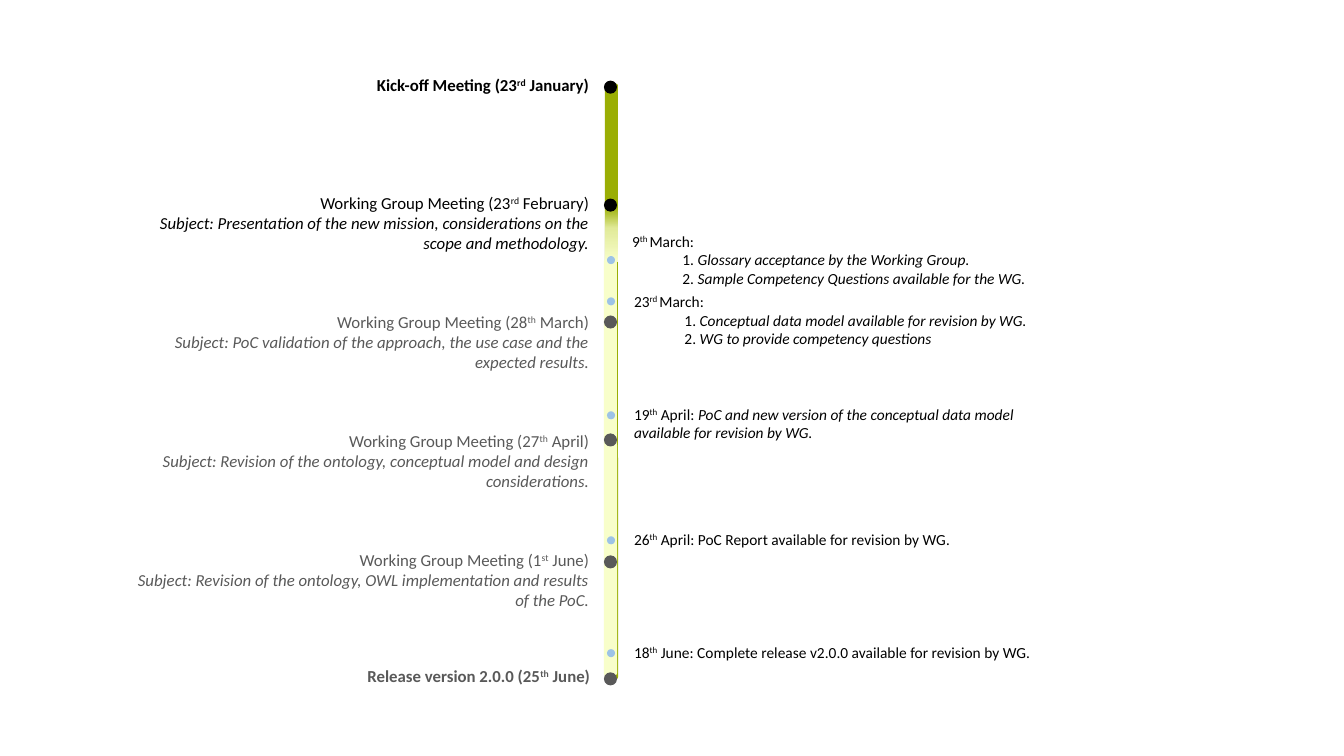
from pptx import Presentation
from pptx.dml.color import RGBColor
from pptx.enum.shapes import MSO_SHAPE as Shape
from pptx.enum.text import MSO_AUTO_SIZE as AutoSize, PP_ALIGN as Align
from pptx.oxml import parse_xml
from pptx.oxml.ns import nsdecls
from pptx.util import Pt

PX = 9144  # 100 px to the inch
FONT = "Calibri"
COLORS = {"done": "000000", "planned": "595959", "olive": "9AAE04",
          "mid": "E1EA99", "pale": "F8FECA", "task": "9DC3E6"}

# Milestones at both ends: left, top, width, state, label parts
ENDS = [
    (359, 69, 235, "done", ("Kick-off Meeting (23", "rd", " January)")),
    (350, 656, 245, "planned", ("Release version 2.0.0 (25", "th", " June)")),
]
# Meetings: state, day, ordinal, month, subject
MEETINGS = [
    ("done", "23", "rd", "February",
     "Presentation of the new mission, considerations on the scope and methodology."),
    ("planned", "28", "th", "March",
     "PoC validation of the approach, the use case and the expected results."),
    ("planned", "27", "th", "April",
     "Revision of the ontology, conceptual model and design considerations."),
    ("planned", "1", "st", "June",
     "Revision of the ontology, OWL implementation and results of the PoC."),
]
# Tasks: left, top, width, height, day, ordinal, plain text, italic text, numbered steps
TASKS = [
    (617, 225, 481, 66, "9", "th ", "March:", "",
     ["Glossary acceptance by the Working Group.",
      "Sample Competency Questions available for the WG."]),
    (619, 285, 481, 66, "23", "rd ", "March:", "",
     ["Conceptual data model available for revision by WG.",
      "WG to provide competency questions"]),
    (619, 397, 424, 47, "19", "th", " April: ",
     "PoC and new version of the conceptual data model available for revision by WG.", []),
    (619, 521, 424, 29, "26", "th", " April: PoC Report available for revision by WG", ".", []),
    (619, 633, 424, 29, "18", "th",
     " June: Complete release v2.0.0 available for revision by WG.", "", []),
]
# Timeline: bars as (left, top, height, fill), dots as tops by state
BAR_WIDTH = 13
BARS = [(600, 83, 591, "olive"), (600, 205, 55, "fade"), (599, 257, 413, "pale")]
FADE = [(0, "olive"), (39, "mid"), (100, "pale")]
DOTS = [
    (599, 13, "done", [80, 197]),
    (599, 13, "planned", [313, 430, 551, 667]),
    (602, 8, "task", [254, 295, 408, 532, 644]),
]
MEETING_TOP, MEETING_STEP = 186, 118

presentation = Presentation()
presentation.slide_width, presentation.slide_height = 1333 * PX, 750 * PX
slide = presentation.slides.add_slide(presentation.slide_layouts[6])


def add_shape(kind, left, top, width, height, color):
    shape = slide.shapes.add_shape(kind, left * PX, top * PX, width * PX, height * PX)
    shape.shadow.inherit = False
    shape.line.fill.background()
    if color == "fade":
        stops = "".join(f'<a:gs pos="{position * 1000}"><a:srgbClr val="{COLORS[name]}"/></a:gs>'
                        for position, name in FADE)
        properties = shape.element.spPr
        properties.insert_element_before(parse_xml(
            f'<a:gradFill {nsdecls("a")} rotWithShape="1"><a:gsLst>{stops}</a:gsLst>'
            '<a:lin ang="5400000" scaled="0"/></a:gradFill>'), "a:ln", "a:effectLst")
    else:
        shape.fill.solid()
        shape.fill.fore_color.rgb = RGBColor.from_string(COLORS[color])


def add_text(left, top, width, height, paragraphs, size, color,
             align=Align.LEFT, bold=False, wrap=True):
    """Each paragraph is a list of (text, style); style is plain, super or italic."""
    box = slide.shapes.add_textbox(left * PX, top * PX, width * PX, height * PX)
    frame = box.text_frame
    frame.word_wrap = wrap
    frame.auto_size = AutoSize.SHAPE_TO_FIT_TEXT
    for index, parts in enumerate(paragraphs):
        paragraph = frame.add_paragraph() if index else frame.paragraphs[0]
        paragraph.alignment = align
        if len(paragraphs) > 1 and index and align == Align.LEFT:  # numbered step
            paragraph.level = 1
            properties = paragraph._p.get_or_add_pPr()
            properties.set("marL", str(50 * PX))
            properties.set("indent", "0")
        for text, style in parts:
            if not text:
                continue
            run = paragraph.add_run()
            run.text = text
            font = run.font
            font.name, font.size, font.bold = FONT, Pt(size), bold
            font.italic = style == "italic"
            font.color.rgb = RGBColor.from_string(COLORS[color])
            if style == "super":
                run._r.get_or_add_rPr().set("baseline", "30000")


# Meeting labels, left of the timeline
for left, top, width, state, (start, ordinal, end) in ENDS:
    label = [(start, "plain"), (ordinal, "super"), (end, "plain")]
    add_text(left, top, width, 30, [label], 12, state, Align.RIGHT, bold=True, wrap=False)

for row, (state, day, ordinal, month, subject) in enumerate(MEETINGS):
    heading = [(f"Working Group Meeting ({day}", "plain"), (ordinal, "super"),
               (f" {month})", "plain")]
    add_text(113, MEETING_TOP + row * MEETING_STEP, 481, 71,
             [heading, [(f"Subject: {subject}", "italic")]], 12, state, Align.RIGHT)

# Timeline bars and dots
for left, top, height, color in BARS:
    add_shape(Shape.ROUNDED_RECTANGLE, left, top, BAR_WIDTH, height, color)
for left, size, color, tops in DOTS:
    for top in tops:
        add_shape(Shape.OVAL, left, top, size, size, color)

# Task notes, right of the timeline
for left, top, width, height, day, ordinal, plain, italic, steps in TASKS:
    heading = [(day, "plain"), (ordinal, "super"), (plain, "plain"), (italic, "italic")]
    numbered = [[(f"{number}. ", "plain"), (step, "italic")]
                for number, step in enumerate(steps, 1)]
    add_text(left, top, width, height, [heading] + numbered, 11, "done")

presentation.save("out.pptx")
